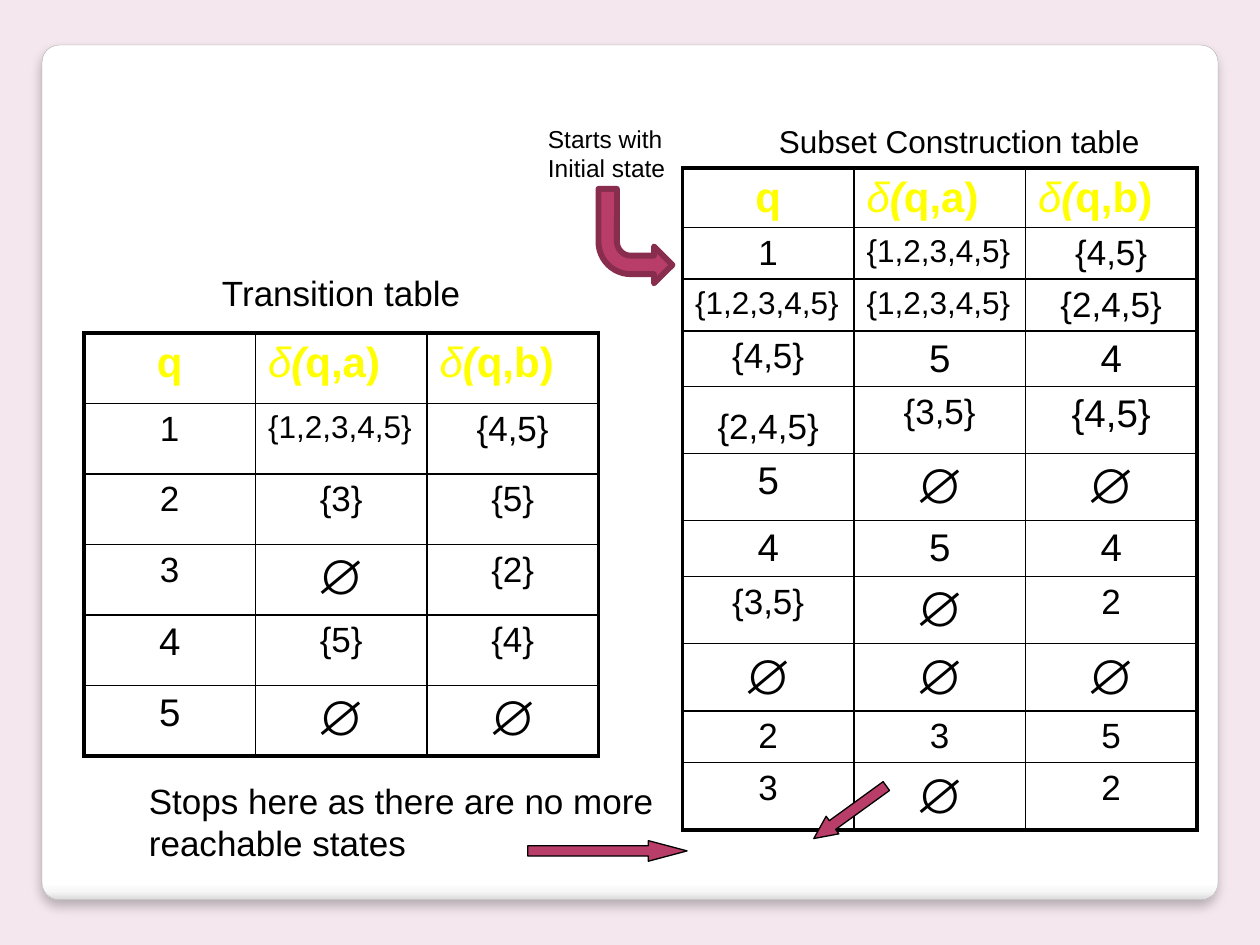
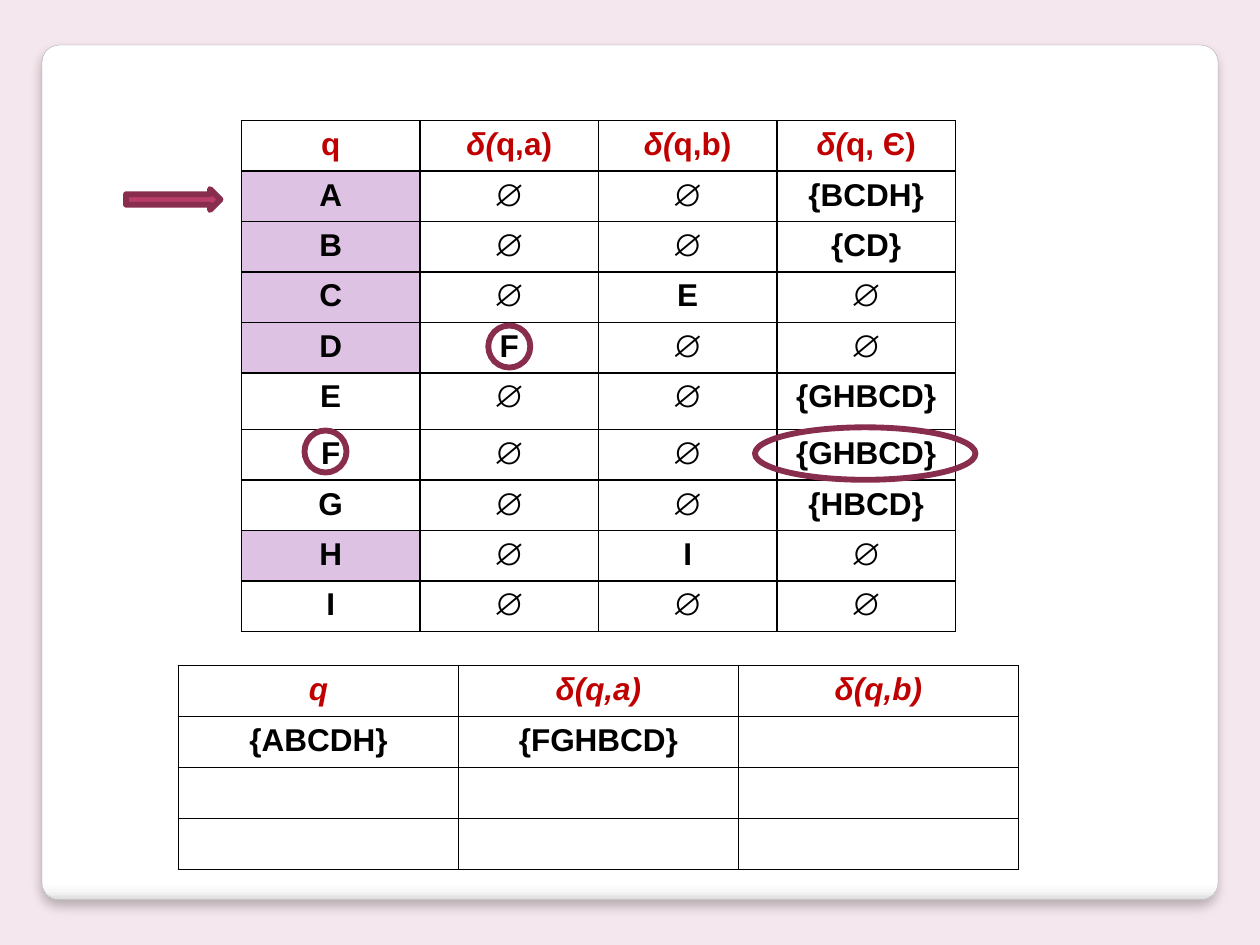
from lxml.etree import SubElement
from pptx import Presentation
from pptx.dml.color import RGBColor
from pptx.enum.shapes import MSO_SHAPE
from pptx.enum.text import MSO_ANCHOR, MSO_AUTO_SIZE, PP_ALIGN
from pptx.oxml.ns import qn
from pptx.util import Inches, Pt

UNIT = Inches(1) // 12
COLS, ROWS = 120, 90
FONT = "Arial"
INK = {
    "page": "F4E7ED", "card": "FFFFFF", "rim": "A4A4A4", "shade": "000000",
    "text": "000000", "gold": "FFFF00", "red": "C00000", "lilac": "DEC2E4",
    "pink": "B83D68", "wine": "882D4D",
}
GLOW = [(0, "FFFFFF"), (98, "FFFFFF"), (99, "F7F7F7"), (100, "DADADA")]
NONE, LONG = "∅", "{1,2,3,4,5}"
THIN, THICK = 1, 2.25

MOVES = [
    ["1", LONG, "{4,5}"],
    ["2", "{3}", "{5}"],
    ["3", NONE, "{2}"],
    ["4", "{5}", "{4}"],
    ["5", NONE, NONE],
]
SUBSETS = [
    ["1", LONG, "{4,5}"],
    [LONG, LONG, "{2,4,5}"],
    ["{4,5}", "5", "4"],
    ["{2,4,5}", "{3,5}", "{4,5}"],
    ["5", NONE, NONE],
    ["4", "5", "4"],
    ["{3,5}", NONE, "2"],
    [NONE, NONE, NONE],
    ["2", "3", "5"],
    ["3", NONE, "2"],
]
BIG_MOVES = {(4, 0), (5, 0)}
BIG_SUBSETS = {(3, 1), (3, 2), (4, 2), (5, 0), (6, 0), (6, 1), (6, 2)}
CLOSURE = [
    ["A", NONE, NONE, "{BCDH}"],
    ["B", NONE, NONE, "{CD}"],
    ["C", NONE, "E", NONE],
    ["D", "F", NONE, NONE],
    ["E", NONE, NONE, "{GHBCD}"],
    ["F", NONE, NONE, "{GHBCD}"],
    ["G", NONE, NONE, "{HBCD}"],
    ["H", NONE, "I", NONE],
    ["I", NONE, NONE, NONE],
]
RESULT = [["{ABCDH}", "{FGHBCD}", ""], [""] * 3, [""] * 3]


def rgb(name):
    """Return the named colour."""
    return RGBColor.from_string(INK[name])


def span(*box):
    """Turn grid cells into lengths."""
    return [round(n * UNIT) for n in box]


def part(box, left, top, wide, high):
    """Return a box given as shares of another box."""
    x, y, w, h = box
    return x + left * w, y + top * h, wide * w, high * h


def style(run, size, color="text", bold=False, italic=False):
    """Format one run."""
    font = run.font
    font.name, font.size, font.bold, font.italic = FONT, Pt(size), bold, italic
    font.color.rgb = rgb(color)


def label(slide, box, lines, size, wrap=True):
    """Add a plain text box."""
    frame = slide.shapes.add_textbox(*span(*box)).text_frame
    frame.word_wrap = wrap
    frame.auto_size = MSO_AUTO_SIZE.SHAPE_TO_FIT_TEXT
    frame.text = "\n".join(lines)
    for para in frame.paragraphs:
        style(para.runs[0], size)


def mark(slide, kind, box, fill="pink", line="wine", width=3.35):
    """Add a flat arrow or ring."""
    shape = slide.shapes.add_shape(kind, *span(*box))
    shape.shadow.inherit = False
    if fill:
        shape.fill.solid()
        shape.fill.fore_color.rgb = rgb(fill)
    else:
        shape.fill.background()
    shape.line.color.rgb = rgb(line)
    shape.line.width = Pt(width)
    return shape


def edge(cell, sides):
    """Draw the four borders of a cell, left, right, top and bottom."""
    props = cell._tc.get_or_add_tcPr()
    for spot, (tag, width) in enumerate(zip(("lnL", "lnR", "lnT", "lnB"), sides)):
        line = props.makeelement(qn("a:" + tag), {"w": str(Pt(width))})
        fill = SubElement(line, qn("a:solidFill"))
        SubElement(fill, qn("a:srgbClr"), val=INK["text"])
        props.insert(spot, line)


def fill_cell(cell, parts, size, color, align=PP_ALIGN.CENTER):
    """Write runs given as text, bold and italic."""
    para = cell.text_frame.paragraphs[0]
    para.alignment = align
    for text, bold, italic in parts:
        run = para.add_run()
        run.text = text
        style(run, size, color, bold, italic)


def grid(slide, box, rows, cols, rim=THIN):
    """Add a bare table with ruled cells."""
    table = slide.shapes.add_table(rows, cols, *span(*box)).table
    table.first_row = table.horz_banding = False
    for r in range(rows):
        for c in range(cols):
            cell = table.cell(r, c)
            cell.fill.background()
            ends = (c == 0, c == cols - 1, r == 0, r == rows - 1)
            edge(cell, [rim if end else THIN for end in ends])
    return table


def paint(cell, color):
    """Give a cell a solid fill."""
    cell.fill.solid()
    cell.fill.fore_color.rgb = rgb(color)


def state_table(slide, box, data, big):
    """Add a thick-rimmed table of states and moves."""
    table = grid(slide, box, len(data) + 1, 3, THICK)
    fill_cell(table.cell(0, 0), [("q", True, False)], 24, "gold")
    for c, sign in enumerate("ab", 1):
        parts = [("δ", False, True), ("(", True, True), (f"q,{sign})", True, False)]
        fill_cell(table.cell(0, c), parts, 24, "gold", PP_ALIGN.LEFT)
    for r, row in enumerate(data, 1):
        for c, text in enumerate(row):
            size = {NONE: 28, LONG: 18}.get(text, 22 if (r, c) in big else 20)
            align = PP_ALIGN.LEFT if text == LONG else PP_ALIGN.CENTER
            fill_cell(table.cell(r, c), [(text, False, False)], size, "text", align)
    return table


def bold_table(slide, box, signs, data, lean=False, tint=""):
    """Add a white table with red heads and bold entries."""
    table = grid(slide, box, len(data) + 1, len(signs) + 1)
    fill_cell(table.cell(0, 0), [("q", True, lean)], 18, "red")
    for c, sign in enumerate(signs, 1):
        parts = [("δ(", True, True), (f"q,{sign})", True, lean)]
        fill_cell(table.cell(0, c), parts, 18, "red")
    for r, row in enumerate(data, 1):
        for c, text in enumerate(row):
            if text:
                fill_cell(table.cell(r, c), [(text, True, False)], 18, "text")
    for r, row in enumerate(table.rows):
        for c, cell in enumerate(row.cells):
            chosen = c == 0 and r > 0 and cell.text and cell.text in tint
            paint(cell, "lilac" if chosen else "card")
    return table


def card(deck, slide):
    """Put the page colour and the rounded card on the master."""
    master = deck.slide_master
    master.background.fill.solid()
    master.background.fill.fore_color.rgb = rgb("page")
    shape = mark(slide, MSO_SHAPE.ROUNDED_RECTANGLE, (4, 4.3, 112, 81.4),
                 "card", "rim", 0.16)
    shape.adjustments[0] = 0.02
    shape.fill.gradient()
    shape.fill.gradient_angle = 270
    props = shape.element.spPr
    stops = props.find(".//" + qn("a:gsLst"))
    for stop in list(stops):
        stops.remove(stop)
    for place, color in GLOW:
        stop = SubElement(stops, qn("a:gs"), pos=str(place * 1000))
        SubElement(stop, qn("a:srgbClr"), val=color)
    shade = SubElement(props.find(qn("a:effectLst")), qn("a:outerShdw"),
                       blurRad=str(Pt(6)), dist=str(Pt(4)), dir="5400000",
                       algn="t", rotWithShape="0")
    tone = SubElement(shade, qn("a:srgbClr"), val=INK["shade"])
    SubElement(tone, qn("a:alpha"), val="25000")
    master.shapes.element.insert(2, shape.element)


def caption(slide, box):
    """Move the body placeholder above the first table."""
    title = slide.shapes.title
    title.element.getparent().remove(title.element)
    body = slide.placeholders[1]
    body.left, body.top, body.width, body.height = span(*box)
    body.text_frame.text = "Transition table"
    para = body.text_frame.paragraphs[0]
    para.alignment = PP_ALIGN.CENTER
    para.space_before = Pt(2.5)
    props = para._p.get_or_add_pPr()
    props.set("marL", "0")
    props.set("indent", "0")
    SubElement(props, qn("a:buNone"))
    style(para.runs[0], 20)


def start_note(slide, box):
    """Add the note on the first state and its bent arrow."""
    label(slide, part(box, 0, 0, 1, 0.43), ["Starts with", "Initial state"], 14)
    arrow = mark(slide, MSO_SHAPE.BENT_ARROW, part(box, 0.4, 0.43, 0.47, 0.57))
    arrow.element.spPr.find(qn("a:xfrm")).set("flipV", "1")


def stop_note(slide, box):
    """Add the closing note and its two arrows."""
    slant = mark(slide, MSO_SHAPE.DOWN_ARROW, part(box, 0.97, 0, 0.03, 0.87),
                 line="text", width=0.75)
    slant.rotation = 54.1
    slant.adjustments[1] = 1.06
    flat = mark(slide, MSO_SHAPE.RIGHT_ARROW, part(box, 0.54, 0.71, 0.22, 0.2),
                line="text", width=0.75)
    flat.adjustments[1] = 1.88
    label(slide, part(box, 0, 0.06, 0.74, 0.94),
          ["Stops here as there are no more reachable states"], 20)


def subset_slide(slide):
    """Build the slide with the two state tables."""
    caption(slide, (8, 25.3, 49, 6))
    state_table(slide, (8, 31.7, 49, 40.3), MOVES, BIG_MOVES)
    table = state_table(slide, (65, 16, 49, 52.8), SUBSETS, BIG_SUBSETS)
    table.rows[4].height = Inches(0.53)
    table.cell(4, 0).vertical_anchor = MSO_ANCHOR.BOTTOM
    start_note(slide, (51, 11.2, 15, 15.8))
    label(slide, (73, 11, 37, 4.8), ["Subset Construction table"], 18, False)
    stop_note(slide, (13, 73.1, 69, 9.8))


def closure_slide(slide):
    """Build the slide with the closure tables and rings."""
    table = bold_table(slide, (23, 11.5, 68, 47), ["a", "b", " Є"], CLOSURE,
                       tint="ABCDH")
    for r, row in enumerate(table.rows):
        row.height = Inches(0.45 if r == 5 else 0.39)
    bold_table(slide, (17, 63.4, 80, 19.4), "ab", RESULT, lean=True)
    mark(slide, MSO_SHAPE.RIGHT_ARROW, (12, 18, 9, 2))
    for ring in ((46.5, 31, 4, 4), (29, 41, 4, 4), (71.9, 40.7, 21, 5)):
        mark(slide, MSO_SHAPE.OVAL, ring, fill=None)


def main():
    """Build and save the deck."""
    deck = Presentation()
    deck.slide_width, deck.slide_height = COLS * UNIT, ROWS * UNIT
    first = deck.slides.add_slide(deck.slide_layouts[1])
    card(deck, first)
    subset_slide(first)
    closure_slide(deck.slides.add_slide(deck.slide_layouts[6]))
    deck.save("out.pptx")


if __name__ == "__main__":
    main()
